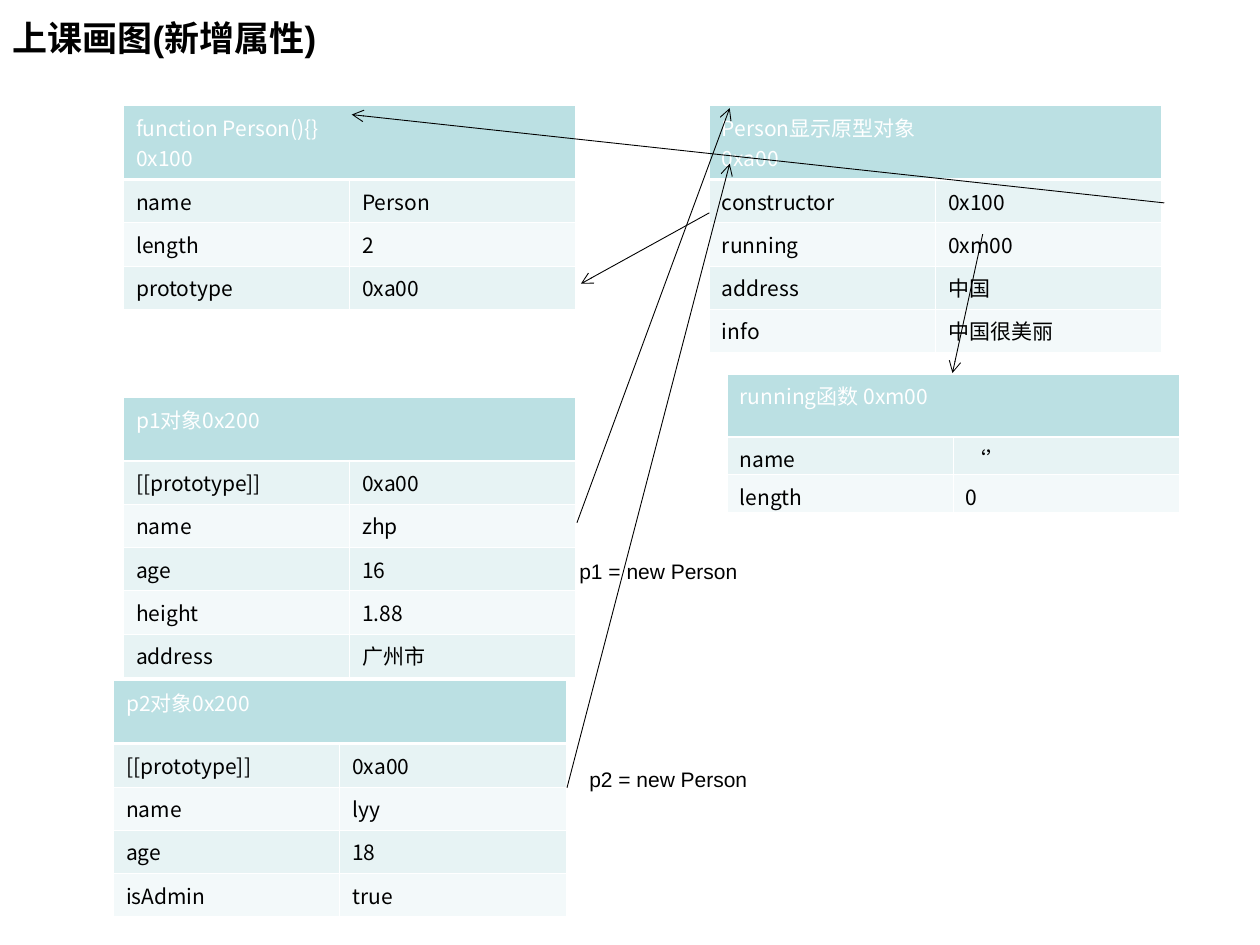
import pptx
import pptx.util
import pptx.dml.color
import pptx.enum.shapes
import pptx.enum.text
import pptx.oxml
import pptx.oxml.ns
import lxml.etree

Cm, Pt = pptx.util.Cm, pptx.util.Pt
qn = pptx.oxml.ns.qn
COLORS = {"ink": "000000", "paper": "FFFFFF", "header": "BBE0E3",
          "odd": "E7F3F4", "even": "F3F9FA"}
CJK_FONT = "Noto Sans CJK SC"
COLUMN_WIDTH, HEADER_HEIGHT, ROW_HEIGHT = 4.56, 1.27, 0.76


def write(frame, lines, size, font_name, color, bold=False):
    for index, line in enumerate(lines):
        para = frame.add_paragraph() if index else frame.paragraphs[0]
        span = para.add_run()
        span.text = line
        span.font.size = Pt(size)
        span.font.bold = bold
        span.font.name = font_name
        span.font.color.rgb = pptx.dml.color.RGBColor.from_string(COLORS[color])
        east_asian = lxml.etree.SubElement(span.font._element, qn("a:ea"))
        east_asian.set("typeface", CJK_FONT)


def style_cell(cell, fill, top, bottom):
    """Give the cell white borders, with its own top and bottom widths, and a fill."""
    properties = cell._tc.get_or_add_tcPr()
    for side, width in (("L", 0.45), ("R", 0.45), ("T", top), ("B", bottom)):
        border = lxml.etree.SubElement(properties, qn("a:ln" + side), w=str(Pt(width)))
        solid = lxml.etree.SubElement(border, qn("a:solidFill"))
        lxml.etree.SubElement(solid, qn("a:srgbClr"), val=COLORS["paper"])
    cell.fill.solid()
    cell.fill.fore_color.rgb = pptx.dml.color.RGBColor.from_string(COLORS[fill])


deck = pptx.Presentation()
deck.slide_width, deck.slide_height = Cm(25.4), Cm(19.05)
page = deck.slides.add_slide(deck.slide_layouts[6])

# Object tables: left, top, bottom cell margin, header lines, property rows
objects = [
    (2.49, 2.13, 0.13, ["function Person(){}", "0x100"],
     [("name", "Person"), ("length", "2"), ("prototype", "0xa00")]),
    (14.3, 2.13, 0.13, ["Person显示原型对象", "0xa00"],
     [("constructor", "0x100"), ("running", "0xm00"), ("address", "中国"),
      ("info", "中国很美丽")]),
    (2.49, 8.02, 0.13, ["p1对象0x200"],
     [("[[prototype]]", "0xa00"), ("name", "zhp"), ("age", "16"),
      ("height", "1.88"), ("address", "广州市")]),
    (2.29, 13.72, 0.13, ["p2对象0x200"],
     [("[[prototype]]", "0xa00"), ("name", "lyy"), ("age", "18"),
      ("isAdmin", "true")]),
    (14.66, 7.54, 0, ["running函数 0xm00"],
     [("name", "‘’"), ("length", "0")]),
]
for left, top, bottom_margin, header, properties in objects:
    height = HEADER_HEIGHT + ROW_HEIGHT * len(properties)
    table = page.shapes.add_table(len(properties) + 1, 2, Cm(left), Cm(top),
                                  Cm(2 * COLUMN_WIDTH), Cm(height)).table
    table.first_row = table.horz_banding = False
    for column in table.columns:
        column.width = Cm(COLUMN_WIDTH)
    for number, row in enumerate(table.rows):
        row.height = Cm(ROW_HEIGHT if number else HEADER_HEIGHT)
        fill = ("even", "odd")[number % 2] if number else "header"
        for cell in row.cells:
            cell.margin_bottom = Cm(bottom_margin)
            style_cell(cell, fill, 1.47 if number == 1 else 0.45,
                       0.45 if number else 1.47)
    table.cell(0, 0).merge(table.cell(0, 1))
    write(table.cell(0, 0).text_frame, header, 12, CJK_FONT, "paper")
    for number, pair in enumerate(properties, start=1):
        for column_number, value in enumerate(pair):
            write(table.cell(number, column_number).text_frame, [value], 12,
                  CJK_FONT, "ink")

# Reference arrows: start x, start y, end x, end y
references = [
    (14.3, 4.29, 11.71, 5.72),
    (23.47, 4.09, 7.09, 2.31),
    (11.63, 10.54, 14.71, 2.18),
    (11.43, 15.88, 14.71, 3.3),
    (19.81, 4.72, 19.2, 7.52),
]
for ends in references:
    arrow = page.shapes.add_connector(pptx.enum.shapes.MSO_CONNECTOR.STRAIGHT,
                                      *(Cm(value) for value in ends))
    arrow.line.color.rgb = pptx.dml.color.RGBColor.from_string(COLORS["ink"])
    arrow.line.width = Pt(0.5)
    lxml.etree.SubElement(arrow.line._get_or_add_ln(), qn("a:tailEnd"), type="arrow")
    lxml.etree.SubElement(arrow._element.spPr, qn("a:effectLst"))

# Title and labels: left, top, width, height, text, size, bold
texts = [
    (0, 0.13, 21.59, 1.24, "上课画图(新增属性)", 20, True),
    (11.43, 11.13, 5.59, 0.76, "p1 = new Person", 12, False),
    (11.63, 15.32, 5.59, 0.76, "p2 = new Person", 12, False),
]
for left, top, width, height, text, size, bold in texts:
    box = page.shapes.add_textbox(Cm(left), Cm(top), Cm(width), Cm(height))
    box.text_frame.word_wrap = True
    if bold:
        box.text_frame.vertical_anchor = pptx.enum.text.MSO_ANCHOR.MIDDLE
    write(box.text_frame, [text], size, "Arial", "ink", bold)

deck.save("out.pptx")
